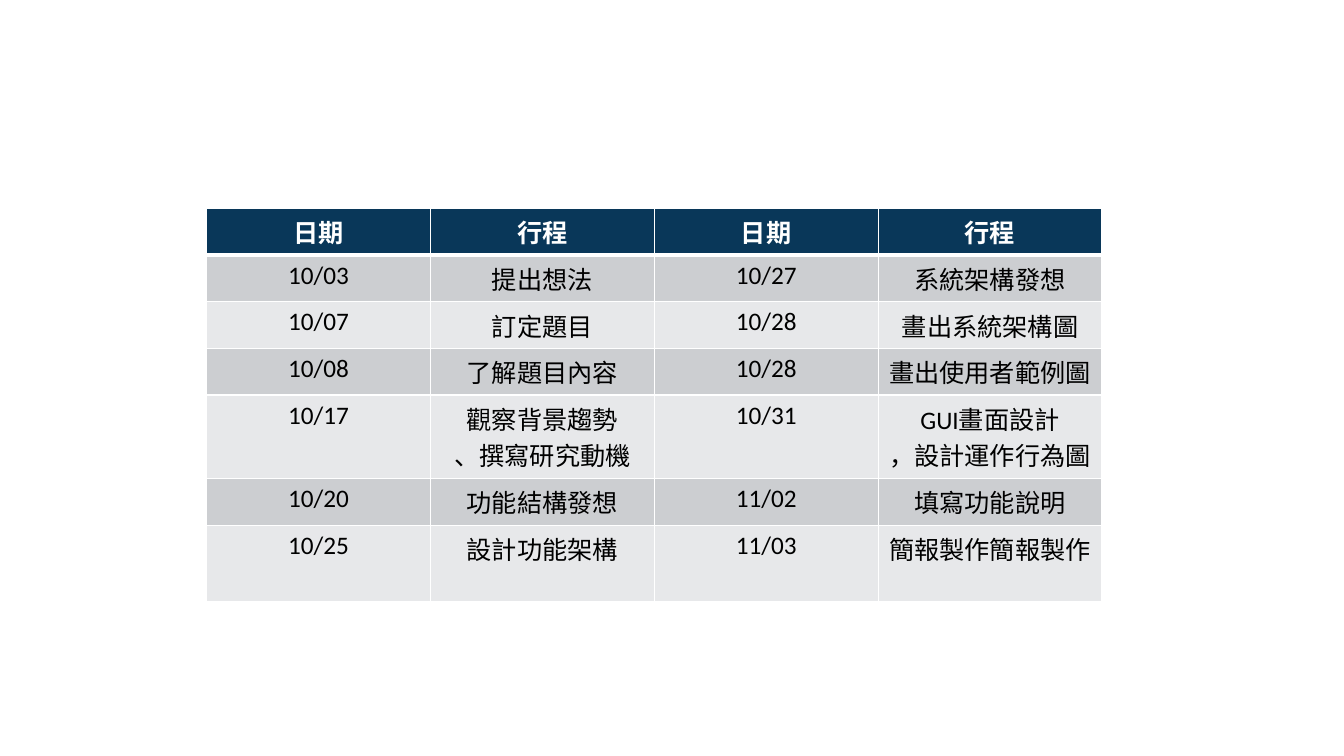
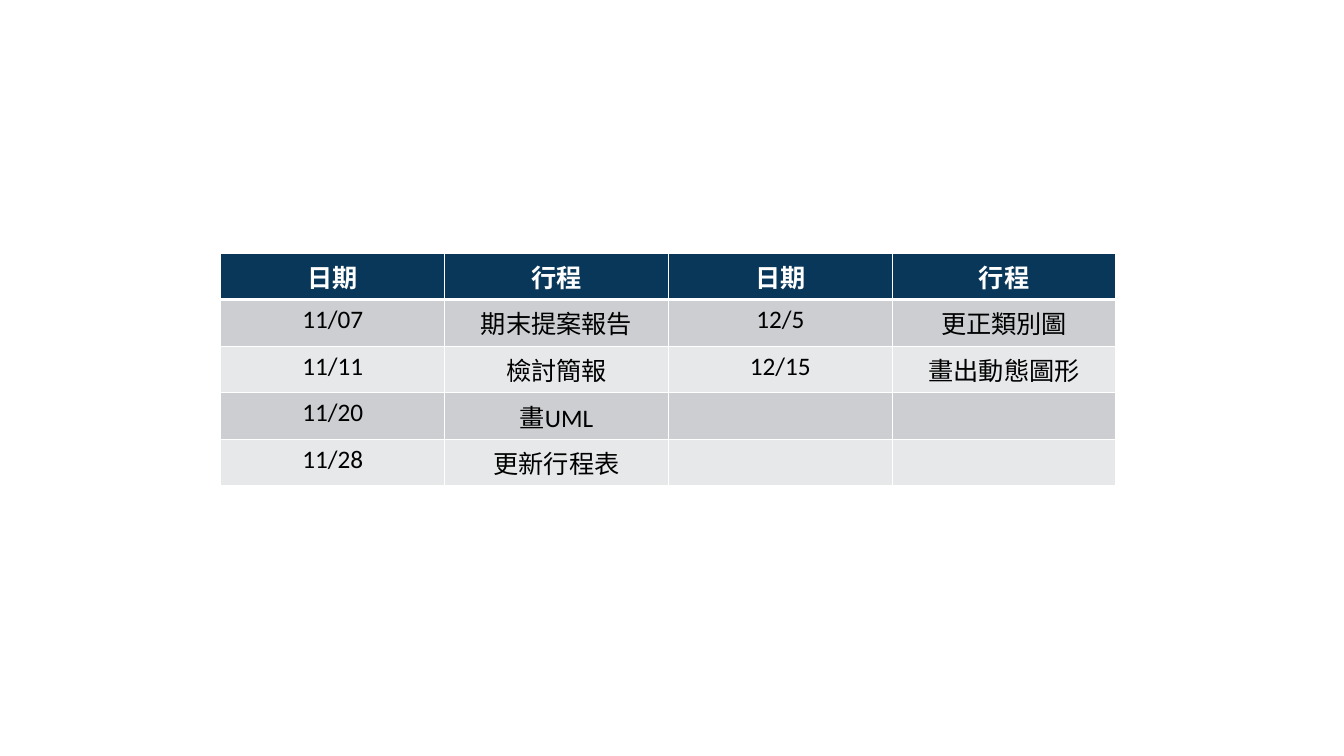
from lxml import etree
from pptx import Presentation
from pptx.dml.color import RGBColor
from pptx.enum.text import PP_ALIGN
from pptx.oxml.ns import qn
from pptx.util import Inches, Pt

NAVY = RGBColor(0x09, 0x37, 0x59)
BANDS = (RGBColor(0xCC, 0xCE, 0xD1), RGBColor(0xE7, 0xE8, 0xEA))
WHITE = RGBColor(0xFF, 0xFF, 0xFF)
BLACK = RGBColor(0, 0, 0)
LATIN_FONT, CJK_FONT = "Calibri", "Noto Sans CJK SC"
COL_WIDTH, ROW_HEIGHT = 2.22, 0.46
HEADER = ("日期", "行程", "日期", "行程")

SCHEDULES = [
    {
        "at": (2.05, 2.07),
        "tall_rows": {4: 0.83, 6: 0.76},
        "rows": [
            ("10/03", "提出想法", "10/27", "系統架構發想"),
            ("10/07", "訂定題目", "10/28", "畫出系統架構圖"),
            ("10/08", "了解題目內容", "10/28", "畫出使用者範例圖"),
            ("10/17", "觀察背景趨勢\n、撰寫研究動機", "10/31", "GUI畫面設計\n，設計運作行為圖"),
            ("10/20", "功能結構發想", "11/02", "填寫功能說明"),
            ("10/25", "設計功能架構", "11/03", "簡報製作簡報製作"),
        ],
    },
    {
        "at": (2.19, 2.51),
        "tall_rows": {},
        "rows": [
            ("11/07", "期末提案報告", "12/5", "更正類別圖"),
            ("11/11", "檢討簡報", "12/15", "畫出動態圖形"),
            ("11/20", "畫UML", "", ""),
            ("11/28", "更新行程表", "", ""),
        ],
    },
]


def set_borders(cell, row):
    tcPr = cell._tc.get_or_add_tcPr()
    widths = {"lnL": 1, "lnR": 1, "lnT": 3 if row == 1 else 1, "lnB": 3 if row == 0 else 1}
    for i, (side, width) in enumerate(widths.items()):
        ln = etree.Element(qn(f"a:{side}"), w=str(Pt(width)))
        fill = etree.SubElement(ln, qn("a:solidFill"))
        etree.SubElement(fill, qn("a:srgbClr"), val=str(WHITE))
        tcPr.insert(i, ln)


def format_cell(cell, text, row):
    is_header = row == 0
    cell.fill.solid()
    cell.fill.fore_color.rgb = NAVY if is_header else BANDS[(row - 1) % 2]
    set_borders(cell, row)
    cell.text_frame.text = text
    for p in cell.text_frame.paragraphs:
        p.alignment = PP_ALIGN.CENTER
        for r in p.runs:
            r.font.size = Pt(18)
            r.font.name = LATIN_FONT
            r.font.bold = is_header
            r.font.color.rgb = WHITE if is_header else BLACK
            etree.SubElement(r.font._element, qn("a:ea"), typeface=CJK_FONT)


def add_schedule(prs, schedule):
    slide = prs.slides.add_slide(prs.slide_layouts[6])
    rows = [HEADER, *schedule["rows"]]
    heights = [schedule["tall_rows"].get(i, ROW_HEIGHT) for i in range(len(rows))]
    left, top = schedule["at"]
    table = slide.shapes.add_table(
        len(rows), len(HEADER), Inches(left), Inches(top),
        Inches(COL_WIDTH * len(HEADER)), Inches(sum(heights)),
    ).table
    for column in table.columns:
        column.width = Inches(COL_WIDTH)
    for i, texts in enumerate(rows):
        table.rows[i].height = Inches(heights[i])
        for j, text in enumerate(texts):
            format_cell(table.cell(i, j), text, i)


def main():
    prs = Presentation()
    prs.slide_width, prs.slide_height = Inches(13.33), Inches(7.5)
    for schedule in SCHEDULES:
        add_schedule(prs, schedule)
    prs.save("out.pptx")


if __name__ == "__main__":
    main()
